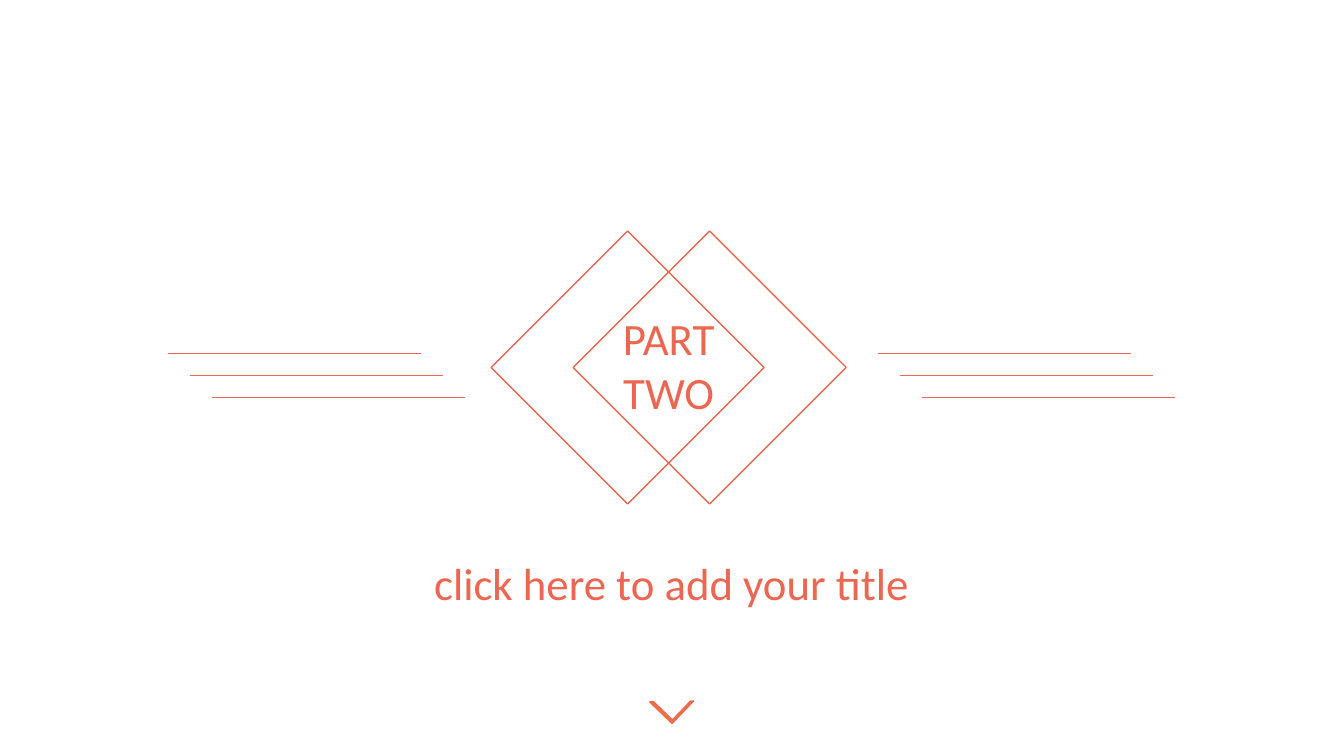
from lxml.etree import SubElement
from pptx import Presentation
from pptx.dml.color import RGBColor
from pptx.enum.shapes import MSO_CONNECTOR, MSO_SHAPE
from pptx.enum.text import MSO_ANCHOR, MSO_AUTO_SIZE, PP_ALIGN
from pptx.oxml.ns import qn
from pptx.util import Inches, Pt

# Content, with lengths in px
PART = "PART TWO"
TITLE = "click here to add your title"
COLOURS = {"coral": "EB6752", "orange": "ED7D31"}

PART_BOX = (599, 306, 139, 119)
TITLE_BOX = (415, 551, 513, 65)
DIAMOND_LEFTS, DIAMOND_TOP, DIAMOND_SIZE = (491, 573), 231, 273
STRIPE_LEFTS, STRIPE_TOP, STRIPE_LENGTH = (168, 878), 353, 253
STRIPE_COUNT, STRIPE_STEP = 3, 22
CHEVRON_BOX = (656, 686, 31, 31)
CHEVRON_TURN, CHEVRON_THICKNESS = 223.8, (0.09, 0.07)

EMU_PER_PX = 914400 / 100.8


def px(*lengths):
    return [round(length * EMU_PER_PX) for length in lengths]


def colour(name):
    return RGBColor.from_string(COLOURS[name])


def write(holder, text, size=32, font="Calibri", ink="coral"):
    frame = holder.text_frame
    frame.word_wrap = True
    frame.auto_size = MSO_AUTO_SIZE.SHAPE_TO_FIT_TEXT
    frame.vertical_anchor = MSO_ANCHOR.TOP
    paragraph = frame.paragraphs[0]
    paragraph.alignment = PP_ALIGN.CENTER
    run = paragraph.add_run()
    run.text = text
    run.font.size = Pt(size)
    run.font.name = font
    run.font.color.rgb = colour(ink)


def add_outline(kind, box, fill=None):
    outline = slide.shapes.add_shape(kind, *px(*box))
    outline.shadow.inherit = False
    outline.line.color.rgb = colour("coral")
    outline.line.width = Pt(1)
    if fill:
        outline.fill.solid()
        outline.fill.fore_color.rgb = colour(fill)
    else:
        outline.fill.background()
    return outline


prs = Presentation()
prs.slide_width, prs.slide_height = Inches(13.33), Inches(7.5)
slide = prs.slides.add_slide(prs.slide_layouts[5])

# Overlapping diamonds around the part number
for left in DIAMOND_LEFTS:
    add_outline(MSO_SHAPE.DIAMOND, (left, DIAMOND_TOP, DIAMOND_SIZE, DIAMOND_SIZE))
write(slide.shapes.add_textbox(*px(*PART_BOX)), PART)

# Title
title = slide.shapes.title
title.left, title.top, title.width, title.height = px(*TITLE_BOX)
write(title, TITLE)

# Staggered stripes on both sides
for row in range(STRIPE_COUNT):
    shift = row * STRIPE_STEP
    y = STRIPE_TOP + shift
    for left in STRIPE_LEFTS:
        start = left + shift
        stripe = slide.shapes.add_connector(
            MSO_CONNECTOR.STRAIGHT, *px(start, y, start + STRIPE_LENGTH, y))
        stripe.line.color.rgb = colour("coral")
        stripe.line.width = Pt(0.5)
        SubElement(stripe.element.spPr, qn("a:effectLst"))

# Chevron pointing down
chevron = add_outline(MSO_SHAPE.HALF_FRAME, CHEVRON_BOX, fill="orange")
chevron.rotation = CHEVRON_TURN
for index, thickness in enumerate(CHEVRON_THICKNESS):
    chevron.adjustments[index] = thickness

prs.save("out.pptx")
